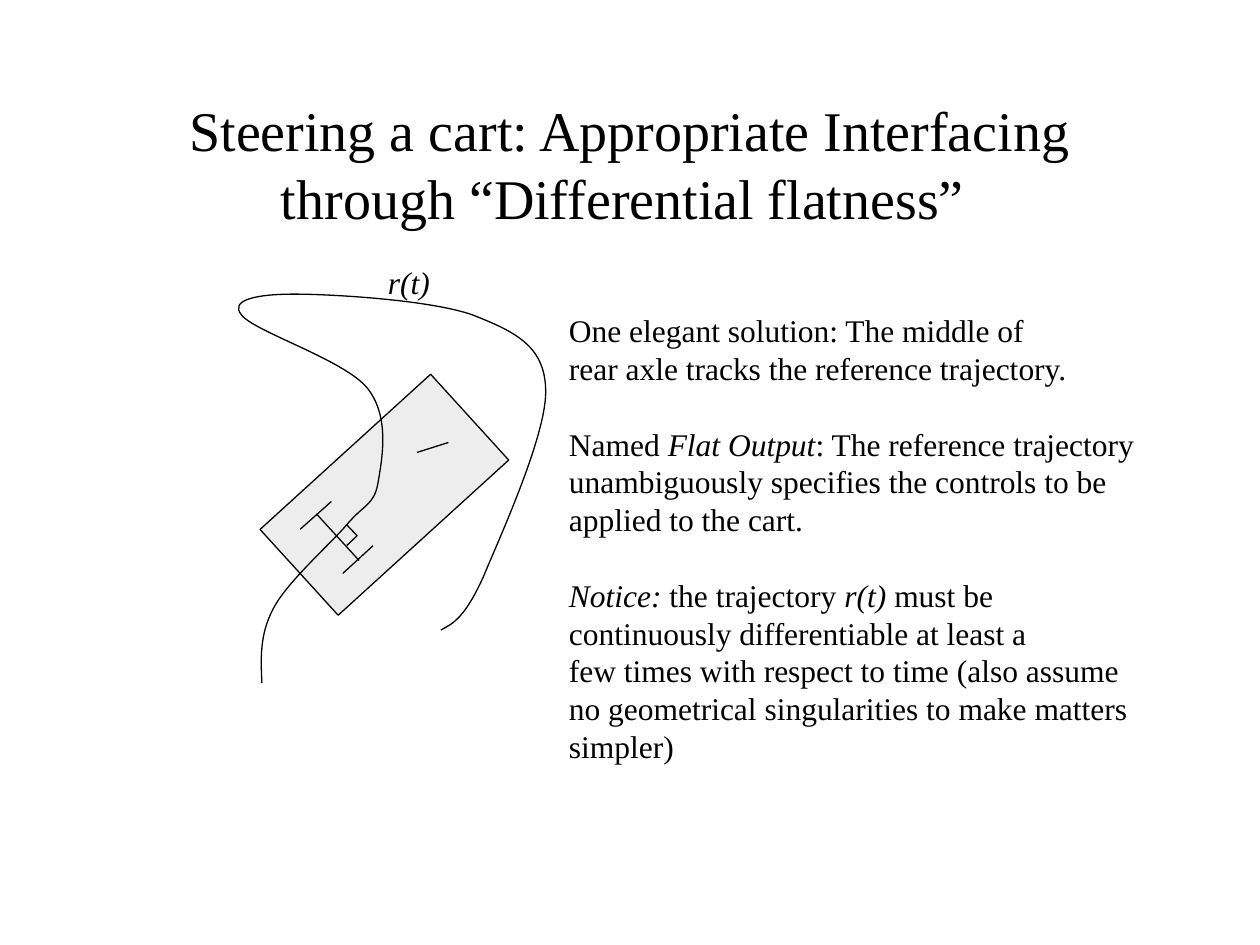
"""Build a slide on steering a cart through differential flatness."""
import dataclasses

import pptx
import pptx.dml.color
import pptx.enum.shapes
import pptx.enum.text
import pptx.oxml.ns
import pptx.oxml.xmlchemy
import pptx.util
from pptx.util import Cm


@dataclasses.dataclass(frozen=True)
class Theme:
    """Hold the colours, type sizes and line width."""
    font: str = "Times New Roman"
    ink: pptx.dml.color.RGBColor = pptx.dml.color.RGBColor(0, 0, 0)
    cart: pptx.dml.color.RGBColor = pptx.dml.color.RGBColor(0xDD, 0xDD, 0xDD)
    cart_alpha: int = 50
    title: pptx.util.Pt = pptx.util.Pt(32)
    body: pptx.util.Pt = pptx.util.Pt(18)
    block_gap: pptx.util.Pt = pptx.util.Pt(21.6)
    stroke: pptx.util.Pt = pptx.util.Pt(0.75)


THEME = Theme()
TITLE = "Steering a cart: Appropriate Interfacing through “Differential flatness” "
BLOCKS = [
    ["One elegant solution: The middle of",
     "rear axle tracks the reference trajectory."],
    ["Named* Flat Output*: The reference trajectory",
     "unambiguously specifies the controls to be",
     "applied to the cart."],
    ["*Notice:* the trajectory *r(t)* must be",
     "continuously differentiable at least a",
     "few times with respect to time (also assume",
     "no geometrical singularities to make matters simpler)"],
]
AXLE_AND_WHEELS = [
    (6.38, 10.36, 7.24, 11.3),
    (6.68, 10.11, 6.05, 10.67),
    (7.52, 11, 6.91, 11.56),
    (9.04, 8.92, 8.41, 9.12),
]
TRAJECTORY = [
    (5.28, 13.77),
    (5.26, 13.28), (5.23, 12.8), (5.51, 12.27),
    (5.79, 11.73), (6.63, 11), (6.99, 10.58),
    (7.34, 10.16), (7.54, 10.19), (7.62, 9.74),
    (7.7, 9.27), (7.87, 8.41), (7.41, 7.83),
    (6.96, 7.26), (5.11, 6.68), (4.87, 6.35),
    (4.62, 6.05), (5.16, 5.93), (5.93, 5.93),
    (6.71, 5.93), (8.69, 6.05), (9.53, 6.35),
    (10.36, 6.68), (10.97, 6.96), (11, 7.83),
    (11.05, 8.71), (10.08, 10.82), (9.74, 11.64),
    (9.37, 12.45), (9.14, 12.57), (8.89, 12.7),
]
RIGHT_ANGLE = [(6.99, 11), (7.2, 10.8), (6.99, 10.58)]


def add_text(slide, bounds, blocks, size, wrap=True):
    """Add a text box of blocks of lines, with italics between asterisks."""
    box = slide.shapes.add_textbox(*map(Cm, bounds))
    frame = box.text_frame
    frame.word_wrap = wrap
    paras = []
    for block in blocks:
        for index, line in enumerate(block):
            para = frame.add_paragraph() if paras else frame.paragraphs[0]
            if paras and index == 0:
                para.space_before = THEME.block_gap
            for order, words in enumerate(line.split("*")):
                if words:
                    span = para.add_run()
                    span.text = words
                    span.font.name = THEME.font
                    span.font.size = size
                    span.font.color.rgb = THEME.ink
                    span.font.italic = order % 2 == 1
            paras.append(para)
    return box


def set_stroke(shape):
    """Give a shape or connector the thin black line."""
    shape.line.color.rgb = THEME.ink
    shape.line.width = THEME.stroke


def add_line(shapes, ends):
    """Add a straight line without a shadow."""
    line = shapes.add_connector(
        pptx.enum.shapes.MSO_CONNECTOR.STRAIGHT, *map(Cm, ends))
    set_stroke(line)
    line._element.spPr.append(pptx.oxml.xmlchemy.OxmlElement("a:effectLst"))


def add_outline(slide, points):
    """Add an open, unfilled outline through the points."""
    corners = [(Cm(x), Cm(y)) for x, y in points]
    builder = slide.shapes.build_freeform(*corners[0])
    builder.add_line_segments(corners[1:], close=False)
    outline = builder.convert_to_shape()
    outline.fill.background()
    outline.shadow.inherit = False
    set_stroke(outline)
    return outline


def bend(outline):
    """Turn every three straight segments into one cubic Bézier segment."""
    segments = list(outline._element.iter(pptx.oxml.ns.qn("a:lnTo")))
    for start in range(0, len(segments), 3):
        curve = pptx.oxml.xmlchemy.OxmlElement("a:cubicBezTo")
        segments[start].addprevious(curve)
        for segment in segments[start:start + 3]:
            curve.append(segment[0])
            segment.getparent().remove(segment)


def add_cart(slide):
    """Add the grouped cart: a tilted body with its axle and wheels."""
    cart = slide.shapes.add_group_shape()
    body = cart.shapes.add_shape(
        pptx.enum.shapes.MSO_SHAPE.RECTANGLE,
        Cm(6.58), Cm(7.65), Cm(2.34), Cm(4.65))
    body.rotation = 47.7
    body.shadow.inherit = False
    body.fill.solid()
    body.fill.fore_color.rgb = THEME.cart
    colour = next(body._element.spPr.iter(pptx.oxml.ns.qn("a:srgbClr")))
    alpha = pptx.oxml.xmlchemy.OxmlElement("a:alpha")
    alpha.set("val", str(THEME.cart_alpha * 1000))
    colour.append(alpha)
    set_stroke(body)
    for ends in AXLE_AND_WHEELS:
        add_line(cart.shapes, ends)


def main():
    """Build and save the deck."""
    deck = pptx.Presentation()
    deck.slide_width, deck.slide_height = Cm(25.4), Cm(19.05)
    slide = deck.slides.add_slide(deck.slide_layouts[6])
    title = add_text(slide, (1.9, 1.7, 21.6, 3.18), [[TITLE]], THEME.title)
    title.text_frame.vertical_anchor = pptx.enum.text.MSO_ANCHOR.MIDDLE
    title.text_frame.paragraphs[0].alignment = pptx.enum.text.PP_ALIGN.CENTER
    add_cart(slide)
    bend(add_outline(slide, TRAJECTORY))
    add_outline(slide, RIGHT_ANGLE)
    labels = [
        add_text(slide, (11.22, 6.15, 13, 9.4), BLOCKS, THEME.body),
        add_text(slide, (7.57, 5.18, 1.35, 1.02), [["*r(t)*"]], THEME.body,
                 wrap=False),
    ]
    for label in labels:
        label.text_frame.auto_size = (
            pptx.enum.text.MSO_AUTO_SIZE.SHAPE_TO_FIT_TEXT)
    deck.save("out.pptx")


if __name__ == "__main__":
    main()
